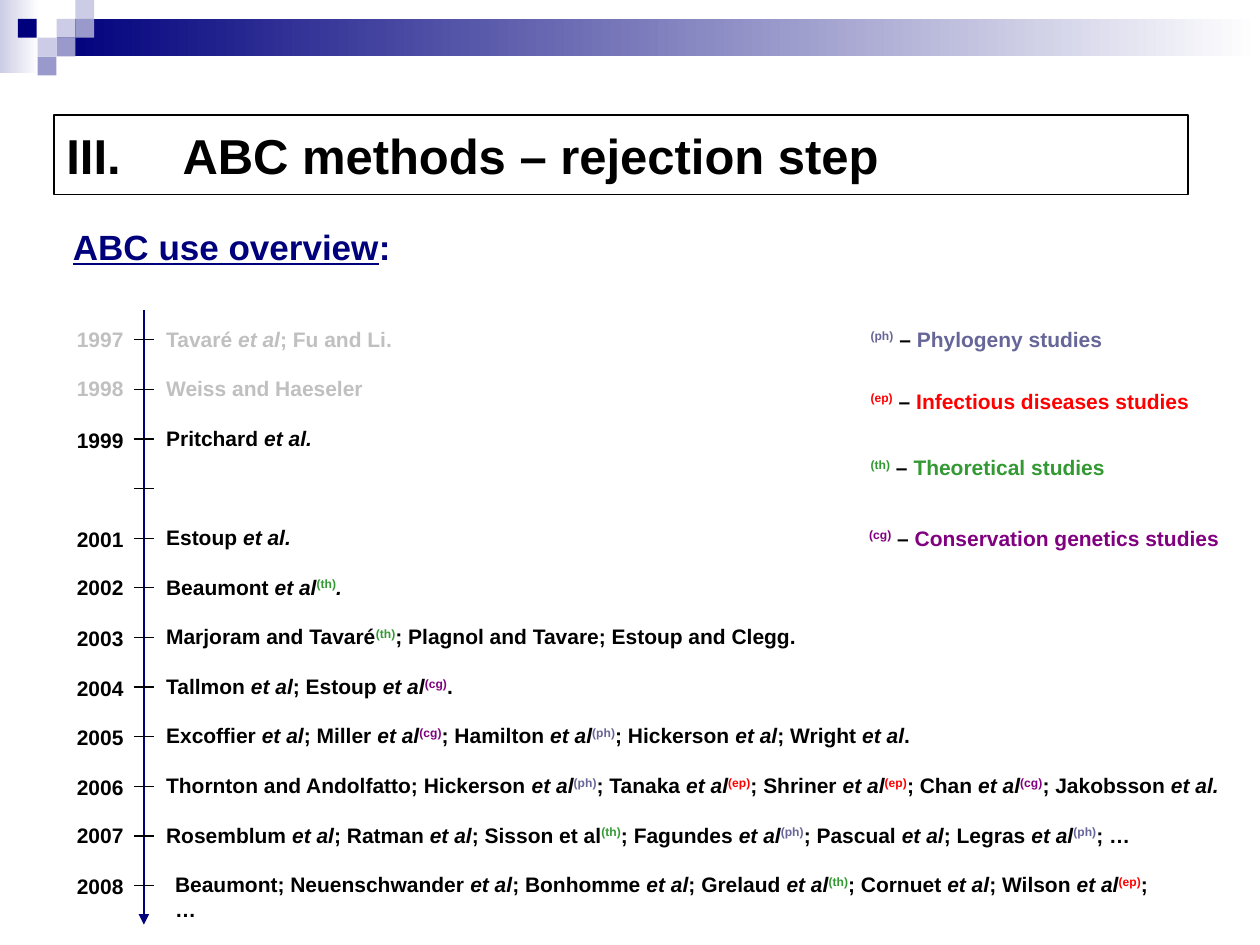
from lxml import etree
from pptx import Presentation, util as u
from pptx.dml.color import RGBColor
from pptx.enum import shapes, text
from pptx.oxml.ns import qn

Cm, Pt = u.Cm, u.Pt
rgb = RGBColor.from_string
NAVY, PALE, MID, BLACK, GREY = "00007D", "CCCCE6", "9999CC", "000000", "C0C0C0"
TAGS = {"(ph)": "666699", "(ep)": "FF0000", "(th)": "339933", "(cg)": "800080"}

deck = Presentation()
deck.slide_width, deck.slide_height = Cm(25.4), Cm(19.05)
slide = deck.slides.add_slide(deck.slide_layouts[6])
items = slide.shapes


def write(x, y, w, h, parts, size=12, wrap=True):
    """Add a bold text box from (text, colour) parts; "_" starts an italic
    part, and a part that is a tag is raised."""
    box = items.add_textbox(Cm(x), Cm(y), Cm(w), Cm(h))
    frame = box.text_frame
    frame.word_wrap = wrap
    frame.vertical_anchor = text.MSO_ANCHOR.MIDDLE if size > 12 else text.MSO_ANCHOR.TOP
    para = frame.paragraphs[0]
    for part, hue in parts:
        run = para.add_run()
        run.text = part.lstrip("_")
        font = run.font
        font.name, font.size, font.bold = "Arial", Pt(size), True
        font.italic = part.startswith("_")
        font.color.rgb = rgb(hue)
        if part.strip() in TAGS:
            font._element.set("baseline", "30000")
    return box


def draw(x1, y1, x2, y2, hue, width):
    line = items.add_connector(shapes.MSO_CONNECTOR.STRAIGHT, Cm(x1), Cm(y1), Cm(x2), Cm(y2))
    line.line.color.rgb = rgb(hue)
    line.line.width = Pt(width)
    props = line._element.spPr
    etree.SubElement(props, qn("a:effectLst"))
    return props.find(qn("a:ln"))


# Banner: two fading bars, then small squares on top
side = 0.38
blocks = [(0, 0, 0.79, 1.47, (PALE, "FFFFFF")), (1.14, side, 24.26, 0.76, (NAVY, "FFFFFF"))]
blocks += [(x, row * side, side, side, (hue,)) for x, row, hue in [
    (1.14, 1, PALE), (1.52, 0, PALE), (1.52, 1, MID), (0.76, 2, PALE),
    (0.36, 1, NAVY), (1.14, 2, MID), (0.76, 3, MID)]]
for x, y, w, h, hues in blocks:
    block = items.add_shape(shapes.MSO_SHAPE.RECTANGLE, Cm(x), Cm(y), Cm(w), Cm(h))
    block.shadow.inherit = False
    block.line.fill.background()
    if len(hues) == 1:
        block.fill.solid()
        block.fill.fore_color.rgb = rgb(hues[0])
    else:
        block.fill.gradient()
        block.fill.gradient_angle = 0
        for stop, hue in zip(block.fill.gradient_stops, hues):
            stop.color.rgb = rgb(hue)

# Title with its Roman number, and heading
title = write(1.09, 2.32, 22.86, 1.6, [("ABC methods – rejection step", BLACK)], 28)
title.line.color.rgb = rgb(BLACK)
title.line.width = Pt(0.75)
props = title.text_frame.paragraphs[0]._p.get_or_add_pPr()
props.set("marL", str(Cm(2.34)))
props.set("indent", str(-Cm(2.34)))
etree.SubElement(props, qn("a:buFont"), typeface="Arial")
etree.SubElement(props, qn("a:buAutoNum"), type="romanUcPeriod", startAt="3")

head = write(1.22, 4.17, 20.6, 1.6, [("ABC use overview", NAVY), (":", NAVY)], 20)
head.text_frame.paragraphs[0].runs[0].font.underline = True

# Time line: one row per centimetre; (year, drop of the year label, width, studies)
axis = draw(2.9, 6.25, 2.9, 18.64, NAVY, 1.5)
etree.SubElement(axis, qn("a:tailEnd"), type="triangle")
rows = [
    ("1997", 0, 11.84, "Tavaré |_et al|; Fu and Li."),
    ("1998", 0, 5.41, "Weiss and Haeseler"),
    ("1999", 0.04, 11.84, "Pritchard |_et al."),
    None,
    ("2001", 0.04, 11.84, "Estoup |_et al."),
    ("2002", 0, 11.84, "Beaumont |_et al|(th)|_."),
    ("2003", 0.04, 14.2, "Marjoram and Tavaré|(th)|; Plagnol and Tavare; Estoup and Clegg."),
    ("2004", 0.04, 11.84, "Tallmon |_et al|; Estoup |_et al|(cg)|."),
    ("2005", 0.04, 21.72, "Excoffier |_et al|; Miller |_et al|(cg)|; Hamilton |_et al|(ph)"
     "|; Hickerson |_et al|; Wright |_et al|."),
    ("2006", 0.04, 22.3, "Thornton and Andolfatto; Hickerson |_et al|(ph)|; Tanaka |_et al|(ep)"
     "|; Shriner |_et al|(ep)|; Chan |_et al|(cg)|; Jakobsson |_et al."),
    ("2007", 0, 21.89, "Rosemblum |_et al|; Ratman |_et al|; Sisson et al|(th)"
     "|; Fagundes |_et al|(ph)|; Pascual |_et al|; Legras |_et al|(ph)|; …"),
    ("2008", 0.04, 20.65, "Beaumont; Neuenschwander |_et al|; Bonhomme |_et al"
     "|; Grelaud |_et al|(th)|; Cornuet |_et al|; Wilson |_et al|(ep)|; …"),
]
for i, row in enumerate(rows):
    draw(2.7, 6.85 + i, 3.1, 6.85 + i, BLACK, 0.75)
    if row is None:
        continue
    year, drop, width, studies = row
    hue = GREY if year < "1999" else BLACK
    last = i == len(rows) - 1
    write(1.3, 6.45 + i + drop, 1.6, 0.76, [(year, hue)])
    parts = [(part, TAGS.get(part, hue)) for part in studies.split("|")]
    write(3.28 if last else 3.1, 6.45 + i, width, 0.76, parts, wrap=not last)

# Key to the tags
for x, y, width, tag, field in [
        (17.3, 6.45, 7.01, "(ph)", "Phylogeny studies"),
        (17.3, 7.7, 7.21, "(ep)", "Infectious diseases studies"),
        (17.3, 9.04, 7.21, "(th)", "Theoretical studies"),
        (17.27, 10.46, 7.75, "(cg)", "Conservation genetics studies")]:
    hue = TAGS[tag]
    write(x, y, width, 0.76, [(tag, hue), (" – ", BLACK), (field, hue)])

deck.save("out.pptx")
